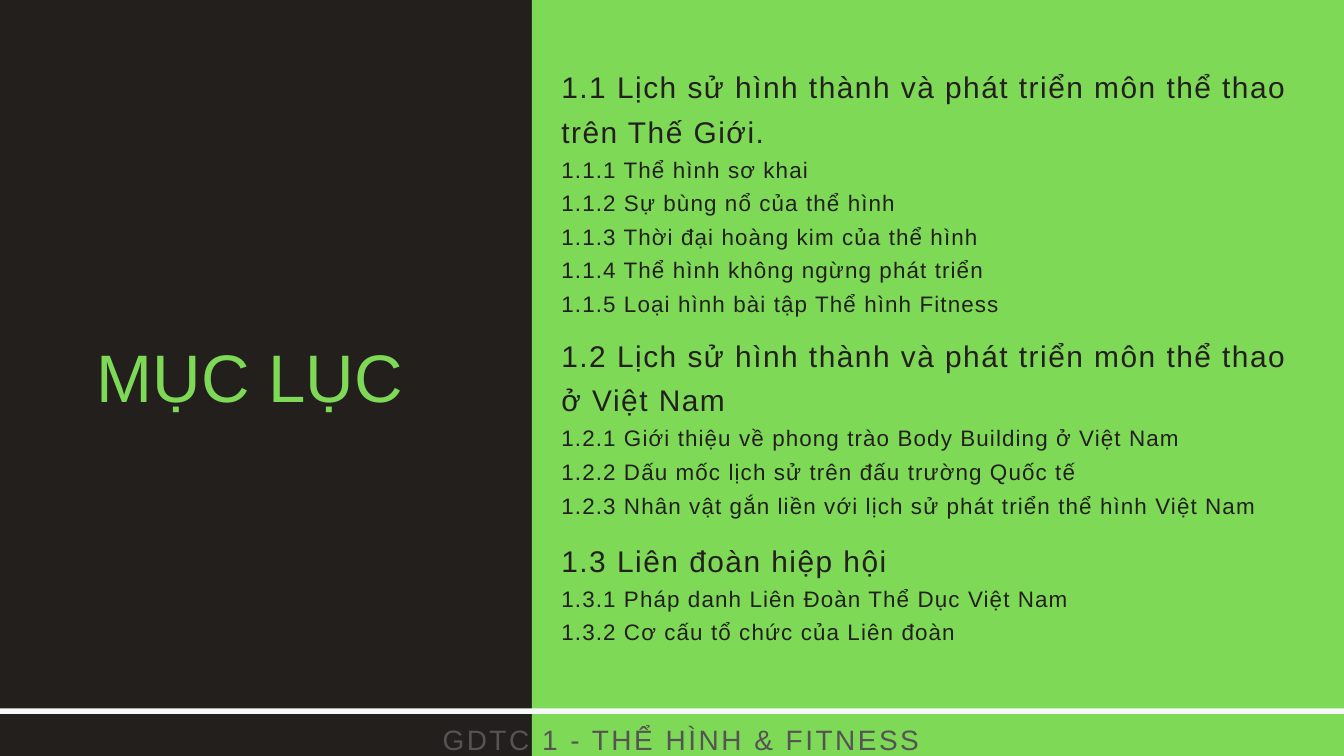
from pptx import Presentation
from pptx.dml.color import RGBColor
from pptx.enum.shapes import MSO_SHAPE as Preset
from pptx.enum.text import MSO_ANCHOR as Anchor, MSO_AUTO_SIZE as AutoSize, PP_ALIGN as Align
from pptx.util import Emu, Pt

EMU_PER_PX = 9525
DARK, GREEN, WHITE, GREY = "231F1D", "7ED957", "F7F9F8", "545454"

SECTIONS = [
    ((802, 85, 1066, 370),
     "1.1 Lịch sử hình thành và phát triển môn thể thao trên Thế Giới.",
     ["1.1.1 Thể hình sơ khai",
      "1.1.2 Sự bùng nổ của thể hình",
      "1.1.3 Thời đại hoàng kim của thể hình",
      "1.1.4 Thể hình không ngừng phát triển",
      "1.1.5 Loại hình bài tập Thể hình Fitness"]),
    ((802, 469, 1079, 274),
     "1.2 Lịch sử hình thành và phát triển môn thể thao ở Việt Nam",
     ["1.2.1 Giới thiệu về phong trào Body Building ở Việt Nam",
      "1.2.2 Dấu mốc lịch sử trên đấu trường Quốc tế",
      "1.2.3 Nhân vật gắn liền với lịch sử phát triển thể hình Việt Nam"]),
    ((802, 762, 1079, 210),
     "1.3 Liên đoàn hiệp hội",
     ["1.3.1 Pháp danh Liên Đoàn Thể Dục Việt Nam",
      "1.3.2 Cơ cấu tổ chức của Liên đoàn"]),
]


def px(length):
    return Emu(length * EMU_PER_PX)


def color(hex_code):
    return RGBColor.from_string(hex_code)


class SlideBuilder:
    font_name = "Arial"

    def __init__(self, slide):
        self.slide = slide

    def background(self, fill):
        self.slide.background.fill.solid()
        self.slide.background.fill.fore_color.rgb = color(fill)

    def panel(self, box, fill):
        panel = self.slide.shapes.add_shape(Preset.RECTANGLE, *map(px, box))
        panel.shadow.inherit = False
        panel.fill.solid()
        panel.fill.fore_color.rgb = color(fill)
        panel.line.fill.background()

    def frame(self, holder):
        """Strip insets and let the holder grow with its text."""
        frame = holder.text_frame
        frame.word_wrap = True
        frame.auto_size = AutoSize.SHAPE_TO_FIT_TEXT
        frame.vertical_anchor = Anchor.TOP
        frame.margin_left = frame.margin_top = frame.margin_right = frame.margin_bottom = 0
        return frame

    def style(self, paragraph, size, leading, ink, tracking=0, align=Align.LEFT):
        """Format a paragraph; size, leading and tracking are in points."""
        paragraph.alignment = align
        paragraph.line_spacing = Pt(leading)
        paragraph.space_before = Pt(0)
        for run in paragraph.runs:
            run.font.name = self.font_name
            run.font.size = Pt(size)
            run.font.color.rgb = color(ink)
            if tracking:
                run._r.get_or_add_rPr().set("spc", str(round(tracking * 100)))

    def title(self, box, wording):
        title = self.slide.shapes.title
        title.left, title.top, title.width, title.height = map(px, box)
        frame = self.frame(title)
        frame.text = wording
        self.style(frame.paragraphs[0], 72, 82.8, GREEN, align=Align.CENTER)

    def section(self, box, heading, entries):
        frame = self.frame(self.slide.shapes.add_textbox(*map(px, box)))
        frame.text = "\n".join([heading, *entries])
        first, *rest = frame.paragraphs
        self.style(first, 32, 48, DARK, 1.6)
        for entry in rest:
            self.style(entry, 24, 36, DARK, 1.2)

    def footer(self, box, wording):
        frame = self.frame(self.slide.shapes.add_textbox(*map(px, box)))
        frame.text = wording
        self.style(frame.paragraphs[0], 30, 42, GREY, 2.7, Align.CENTER)


def main():
    deck = Presentation()
    deck.slide_width, deck.slide_height = px(1920), px(1080)
    contents = SlideBuilder(deck.slides.add_slide(deck.slide_layouts[5]))
    contents.background(DARK)
    contents.panel((760, -49, 1238, 1178), GREEN)
    contents.panel((-119, 1012, 2158, 8), WHITE)
    contents.title((51, 484, 612, 114), "MỤC LỤC")
    for box, heading, entries in SECTIONS:
        contents.section(box, heading, entries)
    contents.footer((618, 1024, 710, 56), "GDTC 1 - THỂ HÌNH & FITNESS")
    deck.save("out.pptx")


if __name__ == "__main__":
    main()
